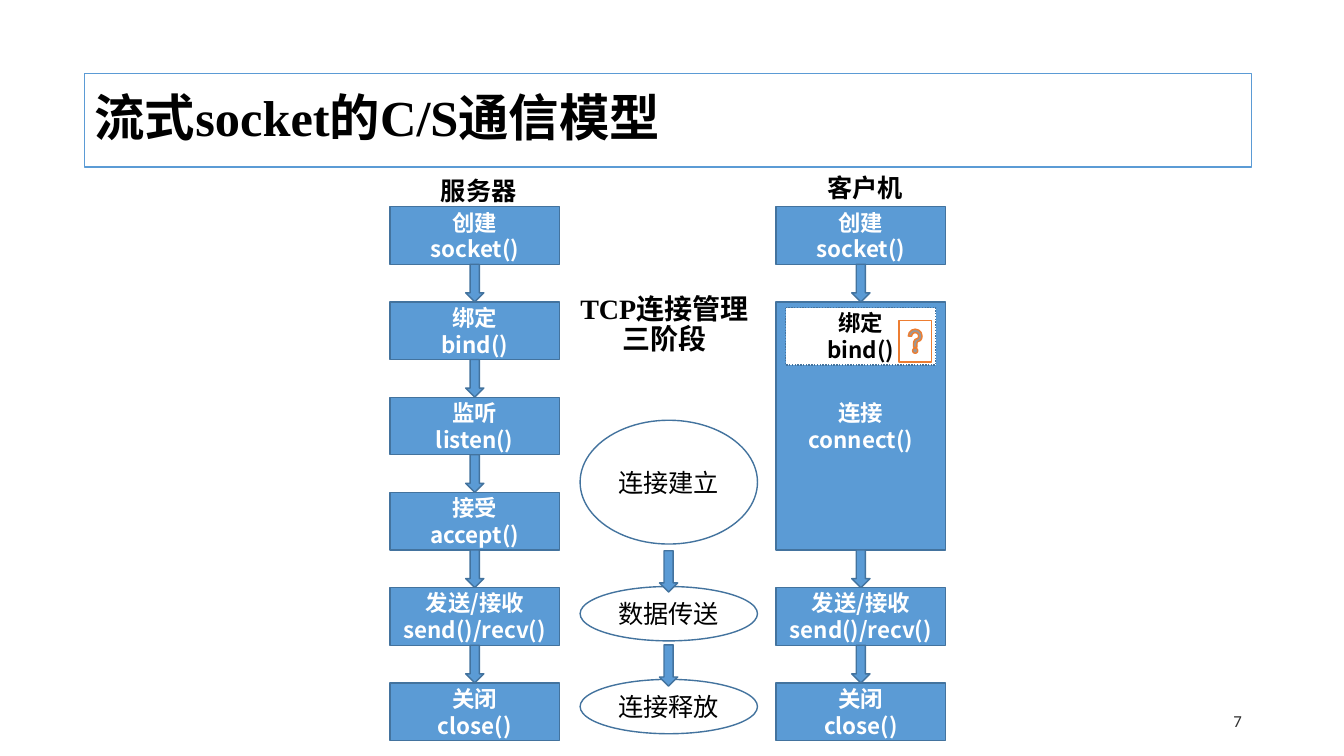
from lxml import etree
from pptx import Presentation
from pptx.dml.color import RGBColor
from pptx.enum.dml import MSO_LINE
from pptx.enum.shapes import MSO_SHAPE
from pptx.enum.text import MSO_ANCHOR, MSO_AUTO_SIZE, PP_ALIGN
from pptx.oxml.ns import qn
from pptx.util import Cm, Pt

PROCESS = MSO_SHAPE.FLOWCHART_PROCESS
OVAL = MSO_SHAPE.OVAL
DOWN_ARROW = MSO_SHAPE.DOWN_ARROW
HELP_BUTTON = MSO_SHAPE.ACTION_BUTTON_HELP
DOTTED = MSO_LINE.ROUND_DOT
LEFT, CENTER, RIGHT = PP_ALIGN.LEFT, PP_ALIGN.CENTER, PP_ALIGN.RIGHT
TOP, MIDDLE = MSO_ANCHOR.TOP, MSO_ANCHOR.MIDDLE
NO_FIT = MSO_AUTO_SIZE.NONE

BLACK = RGBColor(0x00, 0x00, 0x00)
WHITE = RGBColor(0xFF, 0xFF, 0xFF)
GREY = RGBColor(0x2F, 0x2F, 0x2F)
BLUE = RGBColor(0x5B, 0x9B, 0xD5)
DARK_BLUE = RGBColor(0x43, 0x73, 0x9E)
ORANGE = RGBColor(0xED, 0x7D, 0x31)

SANS = "Noto Sans CJK SC"
SERIF = "Times New Roman"
LATIN = "Calibri"

FIRST_ROW, ROW_PITCH = 5.21, 2.4
STEP_WIDTH, STEP_HEIGHT = 4.27, 1.45
ARROW_WIDTH = 0.46
SERVER_LEFT, CLIENT_LEFT = 9.83, 19.56

SERVER_STEPS = [
    (0, 1, "创建", "socket()"),
    (1, 1, "绑定", "bind()"),
    (2, 1, "监听", "listen()"),
    (3, 1, "接受", "accept()"),
    (4, 1, "发送/接收", "send()/recv()"),
    (5, 1, "关闭", "close()"),
]
CLIENT_STEPS = [
    (0, 1, "创建", "socket()"),
    (1, 3, "连接", "connect()"),
    (4, 1, "发送/接收", "send()/recv()"),
    (5, 1, "关闭", "close()"),
]
PHASES = [
    (10.59, 3.12, "连接建立"),
    (14.78, 1.37, "数据传送"),
    (17.12, 1.37, "连接释放"),
]


def place(shape, left, top, width, height):
    """Move and size a shape in centimetres."""
    shape.left, shape.top = Cm(left), Cm(top)
    shape.width, shape.height = Cm(width), Cm(height)


def write(shape, lines, size, color, font, bold=True, align=CENTER, anchor=MIDDLE):
    """Write one paragraph per line and return the paragraphs."""
    frame = shape.text_frame
    frame.word_wrap = True
    frame.auto_size = NO_FIT
    frame.vertical_anchor = anchor
    for index, line in enumerate(lines):
        para = frame.add_paragraph() if index else frame.paragraphs[0]
        para.alignment = align
        span = para.add_run()
        span.text = line
        span.font.size = Pt(size)
        span.font.bold = bold
        span.font.color.rgb = color
        span.font.name = font
        east_asian = etree.SubElement(span.font._element, qn("a:ea"))
        east_asian.set("typeface", SANS)
    return frame.paragraphs


def outline(shape, color):
    """Give a shape a thin solid line."""
    shape.line.color.rgb = color
    shape.line.width = Pt(1)


def add_box(page, kind, left, top, width, height, fill=BLUE, line=DARK_BLUE):
    """Add a flat preset shape, unfilled when fill is None."""
    box = page.shapes.add_shape(kind, Cm(left), Cm(top), Cm(width), Cm(height))
    box.shadow.inherit = False
    if fill is None:
        box.fill.background()
    else:
        box.fill.solid()
        box.fill.fore_color.rgb = fill
    outline(box, line)
    return box


def add_label(page, text, left, top, width, height, size, color, font, **style):
    """Add a text box holding a single line."""
    label = page.shapes.add_textbox(Cm(left), Cm(top), Cm(width), Cm(height))
    write(label, [text], size, color, font, **style)


def add_title(page):
    """Fill and frame the title placeholder."""
    title = page.shapes.title
    place(title, 2.13, 1.85, 29.41, 2.36)
    title.fill.solid()
    title.fill.fore_color.rgb = WHITE
    outline(title, BLUE)
    para = write(title, ["流式socket的C/S通信模型"], 36, BLACK, SERIF, align=LEFT)[0]
    para.line_spacing = 0.9


def add_caption(page):
    """Fill the body placeholder with the unbulleted middle caption."""
    body = page.placeholders[1]
    place(body, 14.22, 7.32, 5.05, 1.8)
    para = write(body, ["TCP连接管理三阶段"], 20, BLACK, SERIF, anchor=TOP)[0]
    para.line_spacing = 0.9
    para.space_before = Pt(10)
    properties = para._p.get_or_add_pPr()
    properties.set("marL", "0")
    properties.set("indent", "0")
    etree.SubElement(properties, qn("a:buNone"))


def add_column(page, heading, heading_top, left, steps):
    """Draw one side of the dialogue as steps joined by arrows."""
    add_label(page, heading, left + 0.1, heading_top, STEP_WIDTH, 0.94, 18, BLACK, SANS, anchor=TOP)
    arrow_left = left + (STEP_WIDTH - ARROW_WIDTH) / 2
    for row, rows, action, call in steps:
        top = FIRST_ROW + row * ROW_PITCH
        height = STEP_HEIGHT + (rows - 1) * ROW_PITCH
        step = add_box(page, PROCESS, left, top, STEP_WIDTH, height)
        write(step, [action, call], 16, WHITE, SANS)
        if row < steps[-1][0]:
            add_box(page, DOWN_ARROW, arrow_left, top + height, ARROW_WIDTH, ROW_PITCH - STEP_HEIGHT)


def add_optional_bind(page):
    """Draw the client's optional bind step with its question mark."""
    bind = add_box(page, PROCESS, 19.8, 7.75, 3.78, STEP_HEIGHT, fill=WHITE)
    bind.line.dash_style = DOTTED
    write(bind, ["绑定", "bind()"], 16, BLACK, SANS)
    add_box(page, HELP_BUTTON, 22.66, 8.08, 0.81, 1.04, fill=WHITE, line=ORANGE)


def add_phases(page):
    """Draw the three connection phases and the arrows between them."""
    for top, height, name in PHASES:
        phase = add_box(page, OVAL, 14.62, top, 4.47, height, fill=None)
        write(phase, [name], 18, BLACK, LATIN, bold=False)
    for top in (13.88, 16.25):
        add_box(page, DOWN_ARROW, 16.62, top, ARROW_WIDTH, 1.04)


def main():
    """Build the slide and save it."""
    deck = Presentation()
    deck.slide_width, deck.slide_height = Cm(33.87), Cm(19.05)
    page = deck.slides.add_slide(deck.slide_layouts[1])
    add_title(page)
    add_caption(page)
    add_label(page, "7", 23.93, 17.65, 7.62, 1.02, 12, GREY, LATIN, bold=False, align=RIGHT)
    add_column(page, "服务器", 4.29, SERVER_LEFT, SERVER_STEPS)
    add_column(page, "客户机", 4.22, CLIENT_LEFT, CLIENT_STEPS)
    add_optional_bind(page)
    add_phases(page)
    deck.save("out.pptx")


if __name__ == "__main__":
    main()
